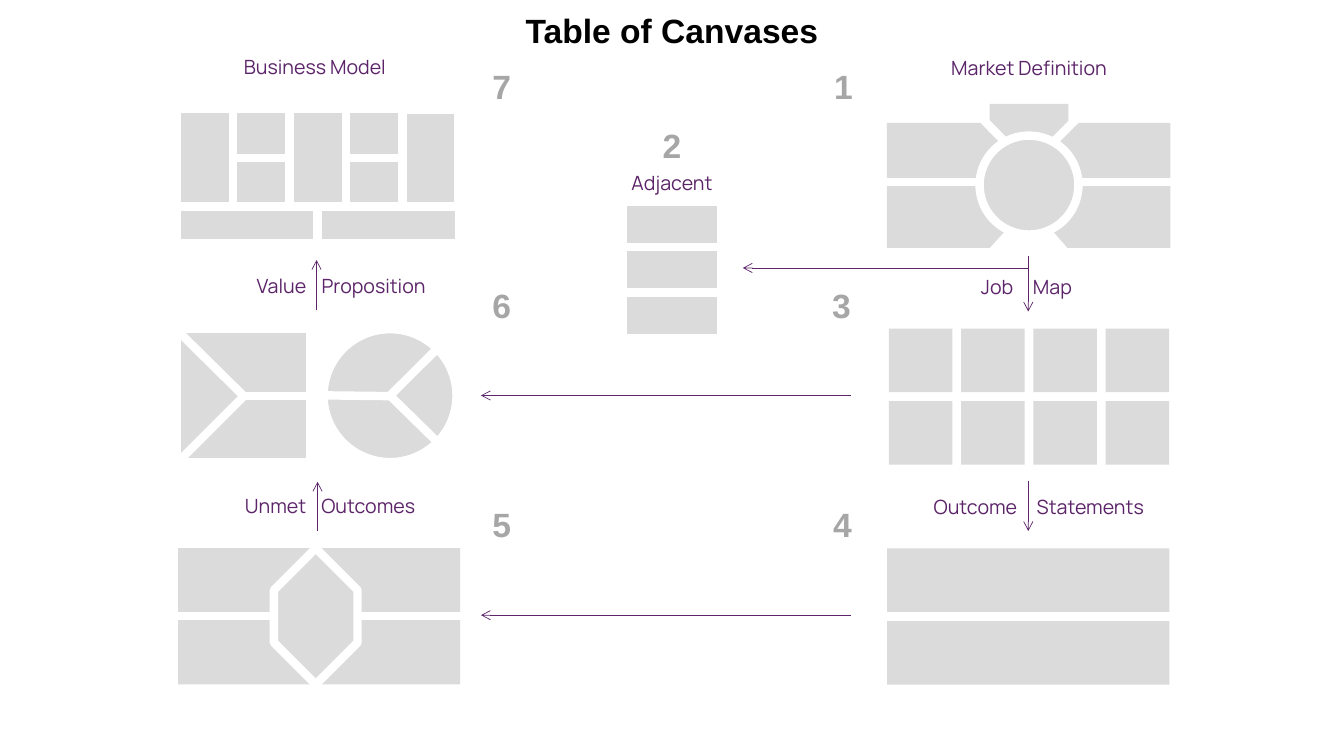
"""Draw the table of canvases: seven linked diagrams with labels and arrows."""
from lxml.etree import SubElement
from pptx import Presentation
from pptx.dml.color import RGBColor
from pptx.enum.shapes import MSO_CONNECTOR, MSO_SHAPE
from pptx.enum.text import MSO_ANCHOR, PP_ALIGN
from pptx.oxml.ns import qn
from pptx.util import Pt

GREY, WHITE, PLUM, BLACK, DIM = "DBDBDB", "FFFFFF", "5C2569", "000000", "A6A6A6"
LEFT, MID, RIGHT = PP_ALIGN.LEFT, PP_ALIGN.CENTER, PP_ALIGN.RIGHT
RECT, OVAL = MSO_SHAPE.RECTANGLE, MSO_SHAPE.OVAL
SNIP, PIE = MSO_SHAPE.SNIP_2_DIAG_RECTANGLE, MSO_SHAPE.PIE
GAP = 6

JOBS = [(RECT, (635 + 51.6 * col, 234.7 + 51.8 * row, 45.4, 45.4), 0, ())
        for row in range(2) for col in range(4)]
MODEL = [(RECT, (126, 77.8, 201.6, 95.8), GAP, ()),
         (RECT, (126, 147.6, 100.4, 26), GAP, ()),
         (RECT, (226.8, 147.6, 101.2, 26), GAP, ())]
MODEL += [(RECT, (x, y, 40.6, 34.9), GAP, ())
          for y in (77.8, 112.7) for x in (166.4, 247)]
MODEL += [(RECT, (287.5, 78.4, 40, 69.2), GAP, ())]
STATES = [(RECT, (633.7, y, 201.6, 45.3), 0, ()) for y in (391.8, 443.7)]
UNMET = [(RECT, (127.2, 391.6, 201.6, 97.2), 0, ()),
         ("line", [(123, 440.2), (332, 440.2)]),
         (SNIP, (195.7, 391.6, 59.7, 97.2), GAP, (0.5, 0.5))]
MARKET = [("area", [(735.1, 151.2), (720.7, 162), (707, 177), (633.6, 177),
                    (633.6, 87.8), (707, 87.8), (707, 74.2), (763.2, 74.2),
                    (763.2, 87.8), (836, 87.8), (836, 177), (762.5, 177),
                    (747.4, 159.8)]),
          ("line", [(630, 129.8), (838.8, 129.8)]),
          ("path", [(696.2, 79.2), (735.1, 118.8), (770.4, 83.5)]),
          (OVAL, (699.7, 96.9, 70.6, 70.6), GAP, ())]
VALUE = [(RECT, (126, 235.1, 95.4, 95), GAP, ()),
         ("line", [(126, 235.4), (174.2, 283)]),
         ("line", [(174.2, 283), (221.8, 283)]),
         ("line", [(174.2, 283), (126.7, 330.5)]),
         (OVAL, (231.1, 235.1, 95, 95), GAP, ()),
         ("line", [(231.1, 282.4), (281.5, 283)]),
         (PIE, (231.1, 235.1, 95, 95), GAP, (189.08, 26.66))]
NEAR = [(RECT, (444.7, 144 + 32.5 * row, 70.6, 32.5), GAP, ())
        for row in range(3)]
CANVAS = [JOBS, MODEL, STATES, UNMET, MARKET, VALUE, NEAR]

ARROWS = [((607.8, 282.5), (343.6, 282.5)), ((607.8, 439.4), (343.6, 439.4)),
          ((734.5, 191.4), (530.6, 191.4)), ((226.1, 221.3), (226.1, 185.8)),
          ((226.8, 379.4), (226.8, 344.2)), ((734.5, 183), (734.5, 222.5)),
          ((734.5, 343.8), (734.5, 379.3))]
HEADS = [("Business Model", 225, 47.8), ("Market Definition", 735.1, 48.6),
         ("Adjacent", 480, 130.5)]
PAIRS = [("Value", 218.8, "Proposition", 229.7, 204),
         ("Unmet", 218.8, "Outcomes", 229.5, 361),
         ("Job", 723.8, "Map", 737.8, 204.7),
         ("Outcome", 726.6, "Statements", 740.5, 361.7)]
MARKS = [("1", 602.4, 61.2), ("2", 480, 103.4), ("3", 601, 217.8),
         ("4", 601.7, 374.6), ("5", 358.4, 374.6), ("6", 358.4, 217.8),
         ("7", 358.4, 61.2)]


def paint(part, code):
    """Set a solid colour on a fill or font colour."""
    if hasattr(part, "solid"):
        part.solid()
        part = part.fore_color
    part.rgb = RGBColor.from_string(code)


def style(shape, fill, edge):
    """Set the fill and the white edge of a shape."""
    shape.shadow.inherit = False
    if fill:
        paint(shape.fill, fill)
    else:
        shape.fill.background()
    if edge:
        paint(shape.line.fill, WHITE)
        shape.line.width = Pt(edge)
    else:
        shape.line.fill.background()


def link(shapes, start, end, code, width, head=False):
    """Draw a straight line, with an arrowhead if asked."""
    ends = [Pt(v) for v in (*start, *end)]
    line = shapes.add_connector(MSO_CONNECTOR.STRAIGHT, *ends)
    paint(line.line.fill, code)
    line.line.width = Pt(width)
    if head:
        SubElement(line.line._get_or_add_ln(), qn("a:tailEnd"), type="arrow")
    SubElement(line._element.spPr, qn("a:effectLst"))


def trace(shapes, points, closed):
    """Draw a closed grey area or an open white path."""
    dots = [(Pt(x), Pt(y)) for x, y in points]
    pen = shapes.build_freeform(*dots[0])
    pen.add_line_segments(dots[1:], close=closed)
    style(pen.convert_to_shape(), GREY if closed else None, 0 if closed else GAP)


def draw(shapes, kind, *rest):
    """Draw one part of a canvas."""
    if kind == "line":
        link(shapes, *rest[0], WHITE, GAP)
    elif kind in ("area", "path"):
        trace(shapes, rest[0], kind == "area")
    else:
        box, edge, bends = rest
        shape = shapes.add_shape(kind, *[Pt(v) for v in box])
        for i, bend in enumerate(bends):
            shape.adjustments[i] = bend
        style(shape, GREY, edge)


def write(shapes, text, x, y, align=MID, wide=150, size=14, face="Manrope",
          code=PLUM, bold=False):
    """Place a label by its anchor x and its middle y."""
    left = x - {LEFT: 0, MID: wide / 2, RIGHT: wide}[align]
    box = shapes.add_textbox(Pt(left), Pt(y - 13), Pt(wide), Pt(26))
    frame = box.text_frame
    frame.word_wrap = True
    frame.vertical_anchor = MSO_ANCHOR.MIDDLE
    frame.margin_left = frame.margin_right = 0
    frame.margin_top = frame.margin_bottom = 0
    para = frame.paragraphs[0]
    para.text = text
    para.alignment = align
    font = para.font
    font.name, font.size, font.bold = face, Pt(size), bold
    paint(font.color, code)


def main():
    """Build and save the slide."""
    deck = Presentation()
    deck.slide_width, deck.slide_height = Pt(960), Pt(540)
    shapes = deck.slides.add_slide(deck.slide_layouts[6]).shapes
    for canvas in CANVAS:
        group = shapes.add_group_shape()
        for part in canvas:
            draw(group.shapes, *part)
    for start, end in ARROWS:
        link(shapes, start, end, PLUM, 0.5, True)
    write(shapes, "Table of Canvases", 480, 21.6, wide=357, size=24,
          face="Arial", code=BLACK, bold=True)
    for text, x, y in HEADS:
        write(shapes, text, x, y)
    for before, end, after, start, y in PAIRS:
        write(shapes, before, end, y, RIGHT, 90)
        write(shapes, after, start, y, LEFT, 90)
    for text, x, y in MARKS:
        write(shapes, text, x, y, wide=48, size=24, face="Arial",
              code=DIM, bold=True)
    deck.save("out.pptx")


if __name__ == "__main__":
    main()
